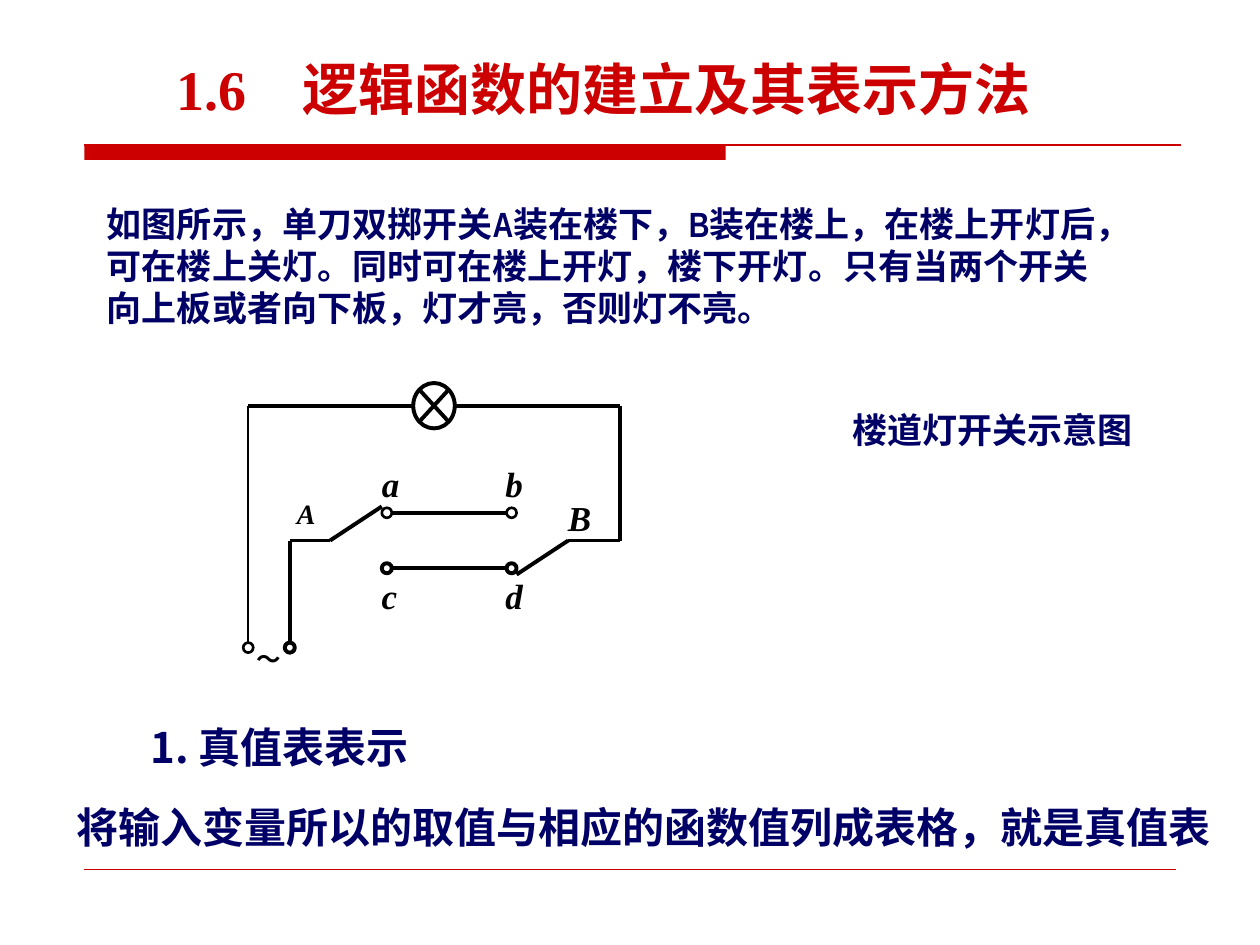
from lxml.etree import SubElement
from pptx import Presentation
from pptx.dml.color import RGBColor
from pptx.enum.shapes import MSO_CONNECTOR, MSO_SHAPE
from pptx.enum.text import MSO_ANCHOR, PP_ALIGN
from pptx.oxml.ns import qn
from pptx.util import Inches, Pt

RED, NAVY, BLACK = "CC0000", "000066", "000000"
CJK, ROMAN, NARROW = "Noto Sans CJK SC", "Times New Roman", "Arial Narrow"

# Text blocks: box, first-line indent, alignment, line spacing, inset, runs
JUSTIFY, CENTER, LEFT = PP_ALIGN.JUSTIFY, PP_ALIGN.CENTER, PP_ALIGN.LEFT
text_blocks = [
    ((0.47, 0.38, 8.66, 0.64), 0.83, LEFT, 1.0, True,
     [("1.6", 32, ROMAN, RED), ("\u3000逻辑函数的建立及其表示方法".replace("\u3000", "　"), 32, CJK, RED)]),
    ((0.43, 5.56, 5.3, 0.62), 0.67, JUSTIFY, 1.3, True,
     [("1. 真值表表示", 24, CJK, NAVY)]),
    ((0.51, 6.19, 9.22, 0.62), 0, JUSTIFY, 1.3, True,
     [("将输入变量所以的取值与相应的函数值列成表格，就是真值表", 24, CJK, NAVY)]),
    ((0.75, 1.56, 8.11, 1.1), 0, LEFT, 1.0, True,
     [("如图所示，单刀双掷开关A装在楼下，B装在楼上，在楼上开灯后，可在楼上关灯。"
       "同时可在楼上开灯，楼下开灯。只有当两个开关向上板或者向下板，灯才亮，否则灯不亮。",
       20, NARROW, NAVY)]),
    ((6.65, 3.28, 2.46, 0.3), 0, CENTER, 0.9, False,
     [("楼道灯开关示意图", 20, CJK, NAVY)]),
]

# Circuit: key coordinates of the wiring
SOURCE_L, SOURCE_R, CONTACT_L, CONTACT_R, RIGHT = 1.97, 2.3, 3.07, 4.06, 4.92
TOP, UPPER, ARM, LOWER, SOURCE = 3.22, 4.07, 4.29, 4.51, 5.14
A_PIVOT, B_PIVOT = 2.62, 4.51
RADIUS = 0.04
lamp = (3.28, 3.04, 0.33, 0.36)
terminals = [  # centre x, centre y, line width
    (CONTACT_L, UPPER, 1.5), (CONTACT_R, UPPER, 1.5),
    (CONTACT_L, LOWER, 2.25), (CONTACT_R, LOWER, 2.25),
    (SOURCE_L, SOURCE, 1.5), (SOURCE_R, SOURCE, 2.25),
]
wires = [  # points along the wire, line width
    ([(SOURCE_L, TOP), (SOURCE_L, SOURCE - RADIUS)], 1.5),
    ([(lamp[0], TOP), (SOURCE_L, TOP)], 2.25),
    ([(lamp[0] + lamp[2], TOP), (RIGHT, TOP), (RIGHT, ARM), (B_PIVOT, ARM), (4.1, 4.56)], 2.25),
    ([(SOURCE_R, SOURCE - RADIUS), (SOURCE_R, ARM), (A_PIVOT, ARM), (3.03, 4.02)], 2.25),
] + [([(CONTACT_L + RADIUS, y), (CONTACT_R - RADIUS, y)], 2.25) for y in (UPPER, LOWER)]
labels = [  # text, centre x, top, size, italic
    ("a", 3.1, 3.67, 20, True), ("b", 4.08, 3.67, 20, True),
    ("c", 3.09, 4.56, 20, True), ("d", 4.08, 4.56, 20, True),
    ("A", 2.43, 3.94, 16, True), ("B", 4.6, 3.94, 20, True),
    ("～", 2.13, 5.11, 14, False),
]


def rgb(value):
    return RGBColor.from_string(value)


def add_text(box, runs, align, spacing=1.0, indent=0, inset=False, wrap=True, italic=False):
    frame = slide.shapes.add_textbox(*map(Inches, box)).text_frame
    frame.word_wrap = wrap
    frame.vertical_anchor = MSO_ANCHOR.TOP
    if not inset:
        frame.margin_left = frame.margin_right = frame.margin_top = frame.margin_bottom = 0
    paragraph = frame.paragraphs[0]
    paragraph.alignment, paragraph.line_spacing = align, spacing
    if indent:
        paragraph._p.get_or_add_pPr().set("indent", str(Inches(indent)))
    for text, size, font, color in runs:
        run = paragraph.add_run()
        run.text = text
        run.font.size, run.font.name = Pt(size), font
        run.font.bold, run.font.italic = True, italic
        run.font.color.rgb = rgb(color)


def add_line(start, end, color, width):
    line = slide.shapes.add_connector(MSO_CONNECTOR.STRAIGHT, *map(Inches, (*start, *end)))
    line.line.color.rgb, line.line.width = rgb(color), Pt(width)
    SubElement(line._element.spPr, qn("a:effectLst"))


def add_outline(kind, box, width):
    outline = slide.shapes.add_shape(kind, *map(Inches, box))
    outline.shadow.inherit = False
    outline.fill.background()
    outline.line.color.rgb, outline.line.width = rgb(BLACK), Pt(width)


presentation = Presentation()
presentation.slide_width, presentation.slide_height = Inches(10), Inches(7.5)
slide = presentation.slides.add_slide(presentation.slide_layouts[6])

# Title rule and footer rule
title_bar = slide.shapes.add_shape(MSO_SHAPE.RECTANGLE, *map(Inches, (0.67, 1.15, 5.09, 0.12)))
title_bar.shadow.inherit = False
title_bar.fill.solid()
title_bar.fill.fore_color.rgb = rgb(RED)
title_bar.line.fill.background()
add_line((0.67, 1.15), (9.37, 1.15), RED, 0.75)
add_line((0.67, 6.9), (9.33, 6.9), RED, 0.25)

# Title and body text
for box, indent, align, spacing, inset, runs in text_blocks:
    add_text(box, runs, align, spacing, indent, inset)

# Circuit diagram
for x, y, width in terminals:
    add_outline(MSO_SHAPE.OVAL, (x - RADIUS, y - RADIUS, 2 * RADIUS, 2 * RADIUS), width)
for points, width in wires:
    for start, end in zip(points, points[1:]):
        add_line(start, end, BLACK, width)
add_outline(MSO_SHAPE.FLOWCHART_SUMMING_JUNCTION, lamp, 2.25)

LABEL_WIDTH = 0.2
for text, center, top, size, italic in labels:
    add_text((center - LABEL_WIDTH / 2, top, LABEL_WIDTH, size / 60),
             [(text, size, ROMAN, BLACK)], CENTER, wrap=False, italic=italic)

presentation.save("out.pptx")
